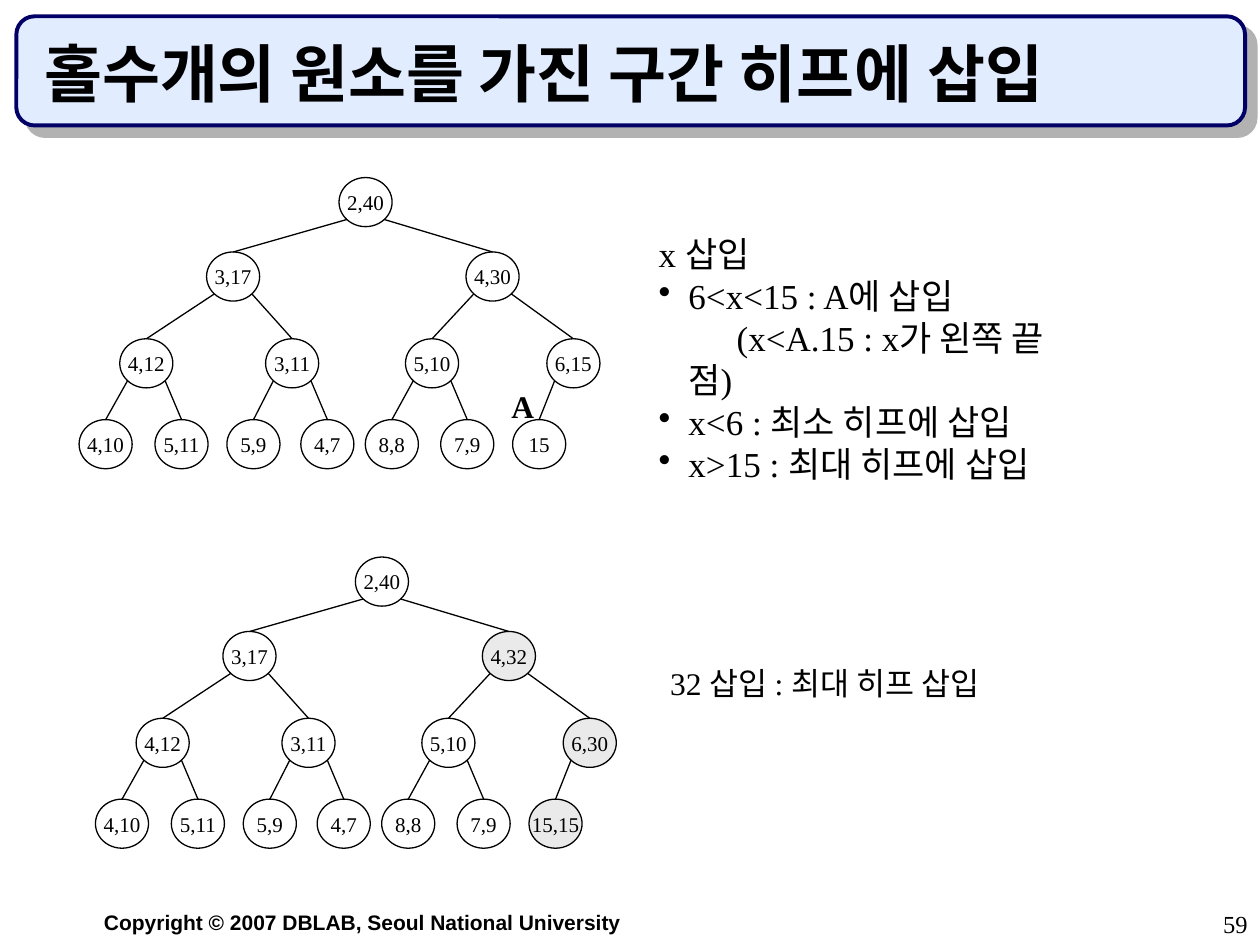
from lxml.etree import SubElement
from pptx import Presentation
from pptx.dml.color import RGBColor
from pptx.enum.shapes import MSO_CONNECTOR as CONNECTOR, MSO_SHAPE as SHAPE
from pptx.enum.text import MSO_ANCHOR as ANCHOR, PP_ALIGN as ALIGN
from pptx.oxml.ns import qn
from pptx.util import Cm, Pt

COLORS = {
    "ink": "000000",
    "banner": "E1ECFF",
    "border": "000066",
    "shadow": "B2B2B2",
    "changed": "EAEAEA",
}
SERIF = "Times New Roman"
NODE_WIDTH, NODE_HEIGHT = 1.07, 0.99
DIAGONAL = 0.5 ** 0.5
LEVEL_TOPS = [3.58, 5.08, 6.83, 8.46]
NODE_CENTERS = [
    7.37,
    4.7, 9.93,
    2.95, 5.89, 8.71, 11.56,
    2.13, 3.66, 5.11, 6.6, 7.9, 9.42, 10.87,
]
HEAP_BEFORE = ["2,40", "3,17", "4,30", "4,12", "3,11", "5,10", "6,15",
               "4,10", "5,11", "5,9", "4,7", "8,8", "7,9", "15"]
INSERTED = {2: "4,32", 6: "6,30", 13: "15,15"}
HEAP_AFTER = [INSERTED.get(index, label) for index, label in enumerate(HEAP_BEFORE)]
RULES = [
    ("x 삽입", False),
    ("6<x<15 : A에 삽입", True),
    ("(x<A.15 : x가 왼쪽 끝점)", False),
    ("x<6 : 최소 히프에 삽입", True),
    ("x>15 : 최대 히프에 삽입", True),
]


def color(name):
    return RGBColor.from_string(COLORS[name])


def style_font(font, size, bold=False, name=SERIF):
    font.name = name
    font.size = Pt(size)
    font.bold = bold
    font.color.rgb = color("ink")


def add_text(page, area, text, size, bold=False, name=SERIF,
             align=ALIGN.LEFT, anchor=ANCHOR.TOP, wrap=True):
    box = page.shapes.add_textbox(*map(Cm, area))
    frame = box.text_frame
    frame.word_wrap = wrap
    frame.vertical_anchor = anchor
    frame.text = text
    for para in frame.paragraphs:
        para.alignment = align
        for span in para.runs:
            style_font(span.font, size, bold, name)
    return box


def add_banner(page):
    banner = page.shapes.add_shape(
        SHAPE.ROUNDED_RECTANGLE, Cm(0.33), Cm(0.33), Cm(24.77), Cm(2.2))
    banner.fill.solid()
    banner.fill.fore_color.rgb = color("banner")
    banner.line.color.rgb = color("border")
    banner.line.width = Pt(2.25)
    banner.shadow.inherit = False
    effects = banner._element.spPr.find(qn("a:effectLst"))
    shadow = SubElement(effects, qn("a:outerShdw"), dist=str(Pt(8.5)),
                        dir="2700000", algn="ctr", rotWithShape="0")
    SubElement(shadow, qn("a:srgbClr"), val=COLORS["shadow"])


def add_rules(page):
    text = "\n".join(line for line, _ in RULES)
    box = add_text(page, (13.03, 4.57, 8.97, 4.5), text, 20)
    for para, (line, bulleted) in zip(box.text_frame.paragraphs, RULES):
        props = para._p.get_or_add_pPr()
        if bulleted:
            props.set("marL", str(Cm(0.6)))
            props.set("indent", str(Cm(-0.6)))
            SubElement(props, qn("a:buChar"), char="•")
        elif line.startswith("("):
            props.set("marL", str(Cm(0.6)))
            props.set("indent", str(Cm(0.97)))


def add_node(group, center, top, label, changed):
    node = group.shapes.add_shape(
        SHAPE.OVAL, Cm(center - NODE_WIDTH / 2), Cm(top), Cm(NODE_WIDTH), Cm(NODE_HEIGHT))
    node.shadow.inherit = False
    if changed:
        node.fill.solid()
        node.fill.fore_color.rgb = color("changed")
    else:
        node.fill.background()
    node.line.color.rgb = color("ink")
    node.line.width = Pt(0.75)
    frame = node.text_frame
    frame.word_wrap = False
    frame.vertical_anchor = ANCHOR.MIDDLE
    frame.text = label
    para = frame.paragraphs[0]
    para.alignment = ALIGN.CENTER
    style_font(para.runs[0].font, 12)


def add_edge(group, parent, child):
    side = 1 if child[0] > parent[0] else -1
    start_x = parent[0] + side * DIAGONAL * NODE_WIDTH / 2
    start_y = parent[1] + (1 + DIAGONAL) * NODE_HEIGHT / 2
    edge = group.shapes.add_connector(
        CONNECTOR.STRAIGHT, Cm(start_x), Cm(start_y), Cm(child[0]), Cm(child[1]))
    edge.line.color.rgb = color("ink")
    edge.line.width = Pt(0.75)
    SubElement(edge._element.spPr, qn("a:effectLst"))


def add_heap(page, labels, changed=(), shift_x=0, shift_y=0):
    group = page.shapes.add_group_shape()
    spots = []
    for index, (label, center) in enumerate(zip(labels, NODE_CENTERS)):
        level = (index + 1).bit_length() - 1
        spot = (center + shift_x, LEVEL_TOPS[level] + shift_y)
        spots.append(spot)
        add_node(group, *spot, label, index in changed)
        if index:
            add_edge(group, spots[(index - 1) // 2], spot)


def main():
    deck = Presentation()
    deck.slide_width, deck.slide_height = Cm(25.4), Cm(19.05)
    page = deck.slides.add_slide(deck.slide_layouts[6])
    add_banner(page)
    add_text(page, (0.64, 18.21, 13.34, 0.76),
             "Copyright © 2007 DBLAB, Seoul National University",
             12, bold=True, name="Arial", align=ALIGN.CENTER)
    add_text(page, (0.64, 0.64, 23.93, 1.7), "홀수개의 원소를 가진 구간 히프에 삽입",
             36, bold=True, anchor=ANCHOR.BOTTOM)
    add_heap(page, HEAP_AFTER, INSERTED, 0.33, 7.65)
    add_heap(page, HEAP_BEFORE)
    add_rules(page)
    add_text(page, (10.06, 7.67, 0.97, 1.02), "A", 18, bold=True, wrap=False)
    add_text(page, (13.26, 13.26, 7.29, 1.02), "32 삽입 : 최대 히프 삽입", 18, wrap=False)
    add_text(page, (20.12, 18.21, 5.28, 0.84), "59", 14, align=ALIGN.RIGHT)
    deck.save("out.pptx")


if __name__ == "__main__":
    main()
